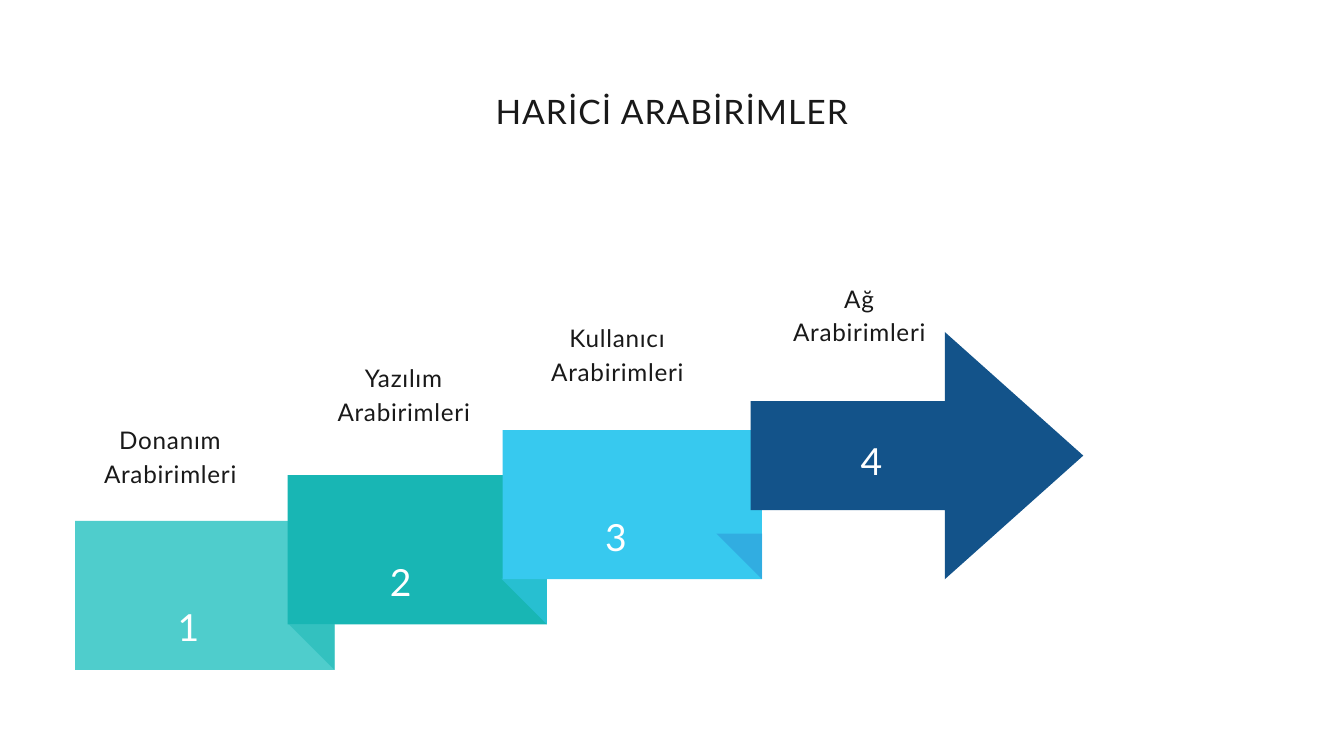
from dataclasses import dataclass

from lxml.etree import SubElement
from pptx import Presentation
from pptx.dml.color import RGBColor
from pptx.enum.shapes import MSO_SHAPE
from pptx.enum.text import MSO_ANCHOR, PP_ALIGN
from pptx.oxml.ns import qn
from pptx.util import Inches, Pt

COLS, ROWS = 20, 11.25


@dataclass(frozen=True)
class Theme:
    font: str = "Lato"
    ink: str = "191919"
    white: str = "FFFFFF"
    mint: str = "4FCDCC"
    teal: str = "18B6B4"
    sky: str = "37C9EF"
    blue: str = "2C92D5"
    navy: str = "13538A"
    # size, line pitch and letter gap, in points
    title: tuple = (36, 47.2, 1.1)
    label: tuple = (26, 36.4, 0.8)
    digit: tuple = (40, 56, 2)


def apply(item, values):
    for name, value in values.items():
        setattr(item, name, value)


class Deck:
    """Holds the theme and the current slide; lengths are grid columns and rows."""

    def __init__(self, theme):
        self.theme = theme
        self.file = Presentation()
        apply(self.file, {"slide_width": Inches(20), "slide_height": Inches(11.25)})
        self.slide = self.file.slides.add_slide(self.file.slide_layouts[6])

    def col(self, count):
        return round(self.file.slide_width * count / COLS)

    def row(self, count):
        return round(self.file.slide_height * count / ROWS)

    def area(self, x, y, w, h):
        return self.col(x), self.row(y), self.col(w), self.row(h)

    def paint(self, shape, color):
        shape.shadow.inherit = False
        shape.fill.solid()
        shape.fill.fore_color.rgb = RGBColor.from_string(color)
        shape.line.fill.background()

    def block(self, kind, box, color):
        shape = self.slide.shapes.add_shape(kind, *self.area(*box))
        self.paint(shape, color)
        return shape

    def arrow(self, box, color, shaft, head):
        """Shaft and head are shares of the arrow's height."""
        shape = self.block(MSO_SHAPE.RIGHT_ARROW, box, color)
        shape.adjustments[0], shape.adjustments[1] = shaft, head

    def fold(self, x, y, w, h, color):
        """Half-clear triangle that shades a ribbon's lower right corner."""
        path = self.slide.shapes.build_freeform(self.col(x), self.row(y))
        path.add_line_segments([(self.col(x + w), self.row(y)),
                                (self.col(x + w), self.row(y + h))])
        shape = path.convert_to_shape()
        self.paint(shape, color)
        tint = shape.element.spPr.find(f"{qn('a:solidFill')}/{qn('a:srgbClr')}")
        SubElement(tint, qn("a:alpha"), val="50000")

    def text(self, words, box, style, color, anchor=MSO_ANCHOR.TOP, inset=0):
        size, pitch, gap = style
        frame = self.slide.shapes.add_textbox(*self.area(*box)).text_frame
        pad = self.col(inset)
        apply(frame, {"word_wrap": True, "vertical_anchor": anchor,
                      "margin_left": pad, "margin_right": pad,
                      "margin_top": pad, "margin_bottom": pad})
        line = frame.paragraphs[0]
        apply(line, {"alignment": PP_ALIGN.CENTER, "line_spacing": Pt(pitch)})
        run = line.add_run()
        run.text = words
        apply(run.font, {"name": self.theme.font, "size": Pt(size)})
        run.font.color.rgb = RGBColor.from_string(color)
        run.font._element.set("spc", str(round(gap * 100)))

    def digit(self, number, box):
        self.text(str(number), box, self.theme.digit, self.theme.white,
                  MSO_ANCHOR.MIDDLE, 0.06)


def main():
    theme = Theme()
    deck = Deck(theme)
    wide, tall, crease = 3.86, 2.22, 0.68
    steps = [(1.12, 7.75, theme.mint, theme.teal),
             (4.28, 7.07, theme.teal, theme.sky),
             (7.48, 6.4, theme.sky, theme.blue)]
    for number, (x, y, color, shade) in enumerate(steps, 1):
        deck.block(MSO_SHAPE.RECTANGLE, (x, y, wide, tall), color)
        deck.digit(number, (x, y - 0.32, 3.37, 3.69))
        deck.fold(x + wide - crease, y + tall - crease, crease, crease, shade)

    deck.arrow((11.17, 4.94, 4.95, 3.68), theme.navy, 0.44, 0.56)
    deck.digit(4, (11.17, 5.58, 3.6, 2.44))

    labels = [("Donanım", 1.18, 6.25, 2.71), ("Yazılım", 4.98, 5.34, 2.06),
              ("Kullanıcı", 8.16, 4.74, 2.06), ("Ağ", 11.76, 4.15, 2.06)]
    for name, x, y, w in labels:
        deck.text(f"{name} Arabirimleri", (x, y, w, 0.99), theme.label, theme.ink)
    deck.text("HARİCİ ARABİRİMLER", (3.88, 1.3, 12.24, 0.64), theme.title, theme.ink)
    deck.file.save("out.pptx")


if __name__ == "__main__":
    main()
